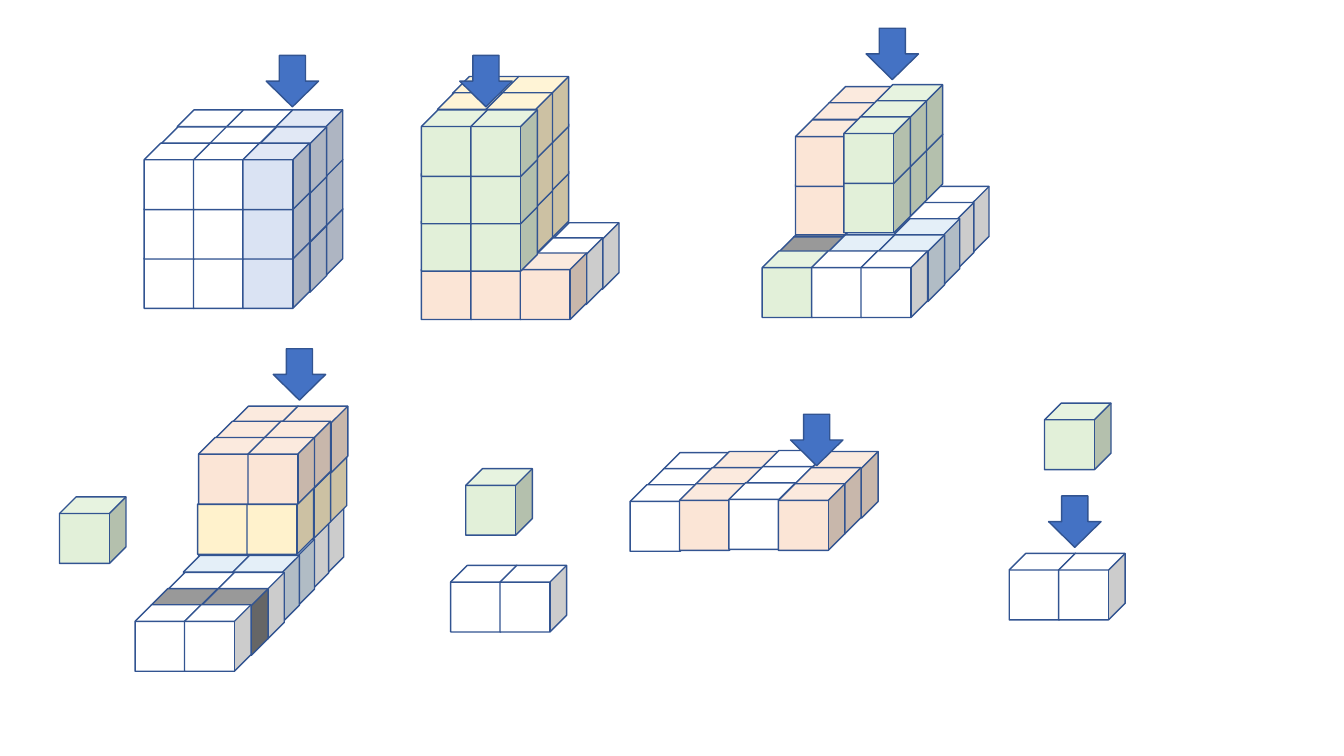
"""Build a slide of stacked-cube figures marked with down arrows."""
from pptx import Presentation
from pptx.dml.color import RGBColor
from pptx.enum.shapes import MSO_SHAPE
from pptx.util import Emu, Pt

PX = 9144
CUBE = 66
PITCH = 49
ARROW_W, ARROW_H = 52, 51

OUTLINE = RGBColor(0x32, 0x54, 0x91)
BLUE = RGBColor(0x44, 0x72, 0xC4)
WHITE = RGBColor(0xFF, 0xFF, 0xFF)
GRAY = RGBColor(0x80, 0x80, 0x80)
PINK = RGBColor(0xFB, 0xE5, 0xD6)
YELLOW = RGBColor(0xFF, 0xF2, 0xCC)
GREEN = RGBColor(0xE2, 0xF0, 0xD9)
LAVENDER = RGBColor(0xDA, 0xE3, 0xF3)
SKY = RGBColor(0xDE, 0xEB, 0xF7)
STEEL = RGBColor(0xB4, 0xC7, 0xE7)


def px(n):
    """Turn pixels into EMU."""
    return Emu(round(n) * PX)


def solid(g, kind, x, y, w, h, fill):
    """Add one outlined preset shape to a group."""
    s = g.shapes.add_shape(kind, px(x), px(y), px(w), px(h))
    s.shadow.inherit = False
    s.fill.solid()
    s.fill.fore_color.rgb = fill
    s.line.color.rgb = OUTLINE
    s.line.width = Pt(1)


def arrow(g, x, y):
    """Add a down arrow."""
    solid(g, MSO_SHAPE.DOWN_ARROW, x, y, ARROW_W, ARROW_H, BLUE)


def block(g, x, y, rows, run=(33, 33), levels=1, lift=PITCH):
    """Stack cubes from the back left at the bottom, rows given back to front."""
    gaps = max(len(rows) - 1, 1)
    for level in range(levels):
        for depth, row in enumerate(rows):
            left = x - run[0] * depth / gaps
            top = y + run[1] * depth / gaps - lift * level
            for col, fill in enumerate(row):
                solid(g, MSO_SHAPE.CUBE, left + PITCH * col, top, CUBE, CUBE, fill)


def tower(g):
    """Draw the tall tower on a flat base."""
    block(g, 450, 221, [[WHITE] * 3] * 2 + [[PINK] * 3], run=(32, 30))
    block(g, 449, 170, [[YELLOW] * 2] * 2 + [[GREEN] * 2], run=(31, 33), levels=3, lift=47)
    arrow(g, 456, 55)


def big_cube(g):
    """Draw the three by three by three cube."""
    block(g, 176, 207, [[WHITE, WHITE, LAVENDER]] * 3, levels=3)
    arrow(g, 264, 55)


def stepped(g):
    """Draw the two-level wall on a deep base."""
    block(g, 819, 186, [[STEEL]] * 2 + [[GRAY]] * 2, run=(48, 49))
    block(g, 866, 185, [[WHITE] * 2] * 2 + [[SKY] * 2] * 2, run=(44, 48))
    block(g, 756, 249, [[GREEN, WHITE, WHITE]])
    block(g, 822, 134, [[PINK]] * 3, levels=2, lift=48)
    block(g, 869, 133, [[GREEN]] * 3, run=(32, 32), levels=2)
    arrow(g, 859, 28)


def long_base(g):
    """Draw the wall on a long base with a loose cube beside it."""
    block(g, 226, 503, [[WHITE] * 2] * 2 + [[SKY] * 2] * 2, run=(44, 48))
    block(g, 59, 493, [[GREEN]])
    block(g, 167, 568, [[WHITE] * 2, [GRAY] * 2, [WHITE] * 2], run=(33, 32))
    block(g, 229, 452, [[YELLOW] * 2] * 3, run=(33, 32))
    block(g, 230, 403, [[PINK] * 2] * 3, run=(33, 31))
    arrow(g, 271, 346)


def striped_slab(g):
    """Draw the striped slab with a pair and a loose cube beside it."""
    block(g, 447, 561, [[WHITE] * 2])
    block(g, 462, 465, [[GREEN]])
    stripes = [(449, WHITE), (448, PINK), (447, WHITE), (448, PINK)]
    for i, (top, fill) in enumerate(stripes):
        block(g, 658 + PITCH * i, top, [[fill]] * 3, run=(33, 32))
    arrow(g, 784, 411)


def pair(g):
    """Draw a cube above a pair of cubes."""
    block(g, 1001, 549, [[WHITE] * 2])
    block(g, 1036, 400, [[GREEN]])
    arrow(g, 1040, 492)


def main():
    """Build and save the slide."""
    prs = Presentation()
    prs.slide_width, prs.slide_height = px(1333), px(750)
    slide = prs.slides.add_slide(prs.slide_layouts[6])
    for figure in (tower, big_cube, stepped, long_base, striped_slab, pair):
        figure(slide.shapes.add_group_shape())
    prs.save("out.pptx")


if __name__ == "__main__":
    main()
